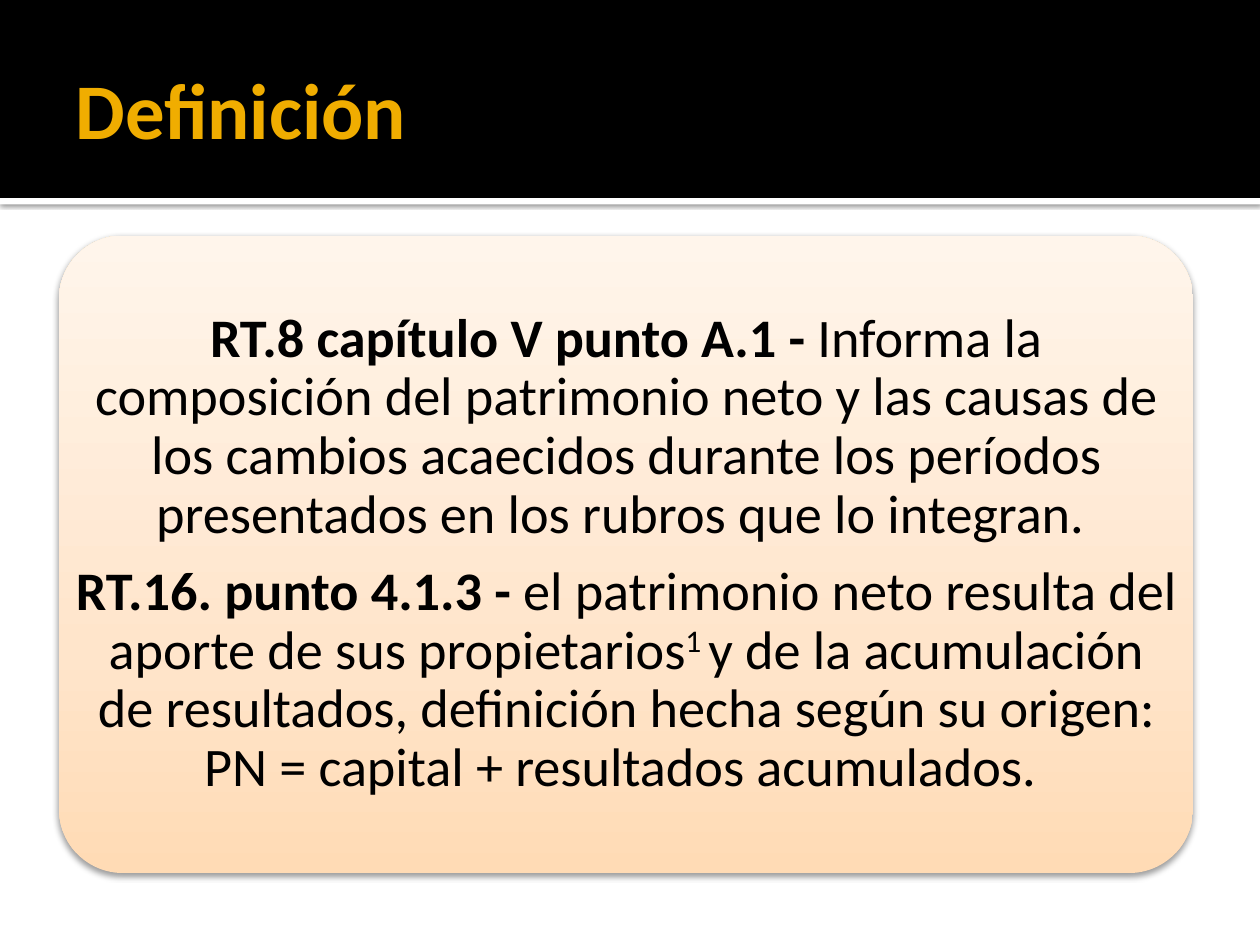
from dataclasses import dataclass
from typing import Optional

from lxml import etree
from pptx import Presentation
from pptx.dml.color import RGBColor
from pptx.enum.shapes import MSO_SHAPE
from pptx.enum.text import MSO_ANCHOR, PP_ALIGN
from pptx.oxml import parse_xml
from pptx.oxml.ns import nsdecls, qn
from pptx.util import Cm, Pt

BLACK = RGBColor(0x00, 0x00, 0x00)
WHITE = RGBColor(0xFF, 0xFF, 0xFF)
AMBER = RGBColor(0xF0, 0xAD, 0x00)
PEACH = RGBColor(0xFF, 0xDB, 0xB5)
LIGHT_PEACH = RGBColor(0xFF, 0xE5, 0xCB)
CREAM = RGBColor(0xFF, 0xF5, 0xEB)
FONT = "Calibri"


@dataclass(frozen=True)
class Box:
    left: float
    top: float
    width: float
    height: float

    def lengths(self) -> tuple:
        return Cm(self.left), Cm(self.top), Cm(self.width), Cm(self.height)


@dataclass(frozen=True)
class Shadow:
    opacity: int
    blur: float
    distance: float


@dataclass(frozen=True)
class Panel:
    kind: MSO_SHAPE
    box: Box
    stops: tuple
    shadow: Optional[Shadow] = None
    corner: Optional[float] = None


@dataclass(frozen=True)
class Part:
    text: str
    bold: bool = False
    raised: bool = False


CARD = Box(1.19, 4.75, 22.86, 12.85)
PANELS = (
    Panel(MSO_SHAPE.RECTANGLE, Box(0, 3.99, 25.4, 0.13), ((0, WHITE),), Shadow(60, 2.5, 0.8)),
    Panel(MSO_SHAPE.RECTANGLE, Box(0, 0, 25.4, 3.99), ((0, BLACK),)),
    Panel(
        MSO_SHAPE.ROUNDED_RECTANGLE,
        CARD,
        ((0, PEACH), (35, LIGHT_PEACH), (100, CREAM)),
        Shadow(38, 3.5, 2),
        0.1,
    ),
)
DEFINITIONS = (
    (
        Part("RT.8 capítulo V punto A.1 - ", bold=True),
        Part(
            "Informa la composición del patrimonio neto y las causas de los cambios "
            "acaecidos durante los períodos presentados en los rubros que lo integran. "
        ),
    ),
    (
        Part("RT.16. punto 4.1.3 - ", bold=True),
        Part("el patrimonio neto resulta del aporte de sus propietarios"),
        Part("1 ", raised=True),
        Part(
            "y de la acumulación de resultados, definición hecha según su origen: "
            "PN = capital + resultados acumulados. "
        ),
    ),
)


def set_gradient(shape, stops: tuple) -> None:
    shape.fill.gradient()
    shape.fill.gradient_angle = 90
    stop_list = shape._element.spPr.find(qn("a:gradFill")).find(qn("a:gsLst"))
    for old_stop in list(stop_list):
        stop_list.remove(old_stop)
    for percent, color in stops:
        stop = etree.SubElement(stop_list, qn("a:gs"), pos=str(percent * 1000))
        etree.SubElement(stop, qn("a:srgbClr"), val=str(color))


def set_shadow(shape, shadow: Shadow) -> None:
    effects = shape._element.spPr.find(qn("a:effectLst"))
    effects.append(parse_xml(
        f'<a:outerShdw {nsdecls("a")} blurRad="{Pt(shadow.blur)}" '
        f'dist="{Pt(shadow.distance)}" dir="5400000" rotWithShape="0">'
        f'<a:srgbClr val="{BLACK}"><a:alpha val="{shadow.opacity * 1000}"/></a:srgbClr>'
        f'</a:outerShdw>'
    ))


def draw_panel(slide, panel: Panel) -> None:
    shape = slide.shapes.add_shape(panel.kind, *panel.box.lengths())
    if panel.corner is not None:
        shape.adjustments[0] = panel.corner
    if len(panel.stops) == 1:
        shape.fill.solid()
        shape.fill.fore_color.rgb = panel.stops[0][1]
    else:
        set_gradient(shape, panel.stops)
    shape.line.fill.background()
    shape.shadow.inherit = False
    if panel.shadow:
        set_shadow(shape, panel.shadow)


def set_frame(frame, left: float, right: float, vertical: float) -> None:
    frame.word_wrap = True
    frame.vertical_anchor = MSO_ANCHOR.MIDDLE
    frame.margin_left, frame.margin_right = Cm(left), Cm(right)
    frame.margin_top = frame.margin_bottom = Cm(vertical)


def add_part(paragraph, part: Part, size: int, color: RGBColor) -> None:
    run = paragraph.add_run()
    run.text = part.text
    run.font.name = FONT
    run.font.size = Pt(size)
    run.font.bold = part.bold
    run.font.color.rgb = color
    if part.raised:
        run._r.get_or_add_rPr().set("baseline", "30000")


def write_title(slide, text: str) -> None:
    title = slide.shapes.title
    title.left, title.top, title.width, title.height = Box(1.27, 0.43, 22.86, 3.48).lengths()
    set_frame(title.text_frame, 0.25, 0.13, 0.13)
    paragraph = title.text_frame.paragraphs[0]
    paragraph.alignment = PP_ALIGN.LEFT
    add_part(paragraph, Part(text, bold=True), 45, AMBER)
    slide.shapes._spTree.append(title._element)


def write_definitions(slide) -> None:
    frame = slide.shapes.add_textbox(*CARD.lengths()).text_frame
    set_frame(frame, 0.33, 0.33, 0.33)
    for index, parts in enumerate(DEFINITIONS):
        paragraph = frame.add_paragraph() if index else frame.paragraphs[0]
        paragraph.alignment = PP_ALIGN.CENTER
        paragraph.line_spacing = 0.9
        paragraph.space_after = Pt(10.8)
        for part in parts:
            add_part(paragraph, part, 31, BLACK)


def main() -> None:
    presentation = Presentation()
    presentation.slide_width, presentation.slide_height = Cm(25.4), Cm(19.05)
    slide = presentation.slides.add_slide(presentation.slide_layouts[5])
    slide.background.fill.solid()
    slide.background.fill.fore_color.rgb = WHITE
    for panel in PANELS:
        draw_panel(slide, panel)
    write_title(slide, "Definición")
    write_definitions(slide)
    presentation.save("out.pptx")


main()
